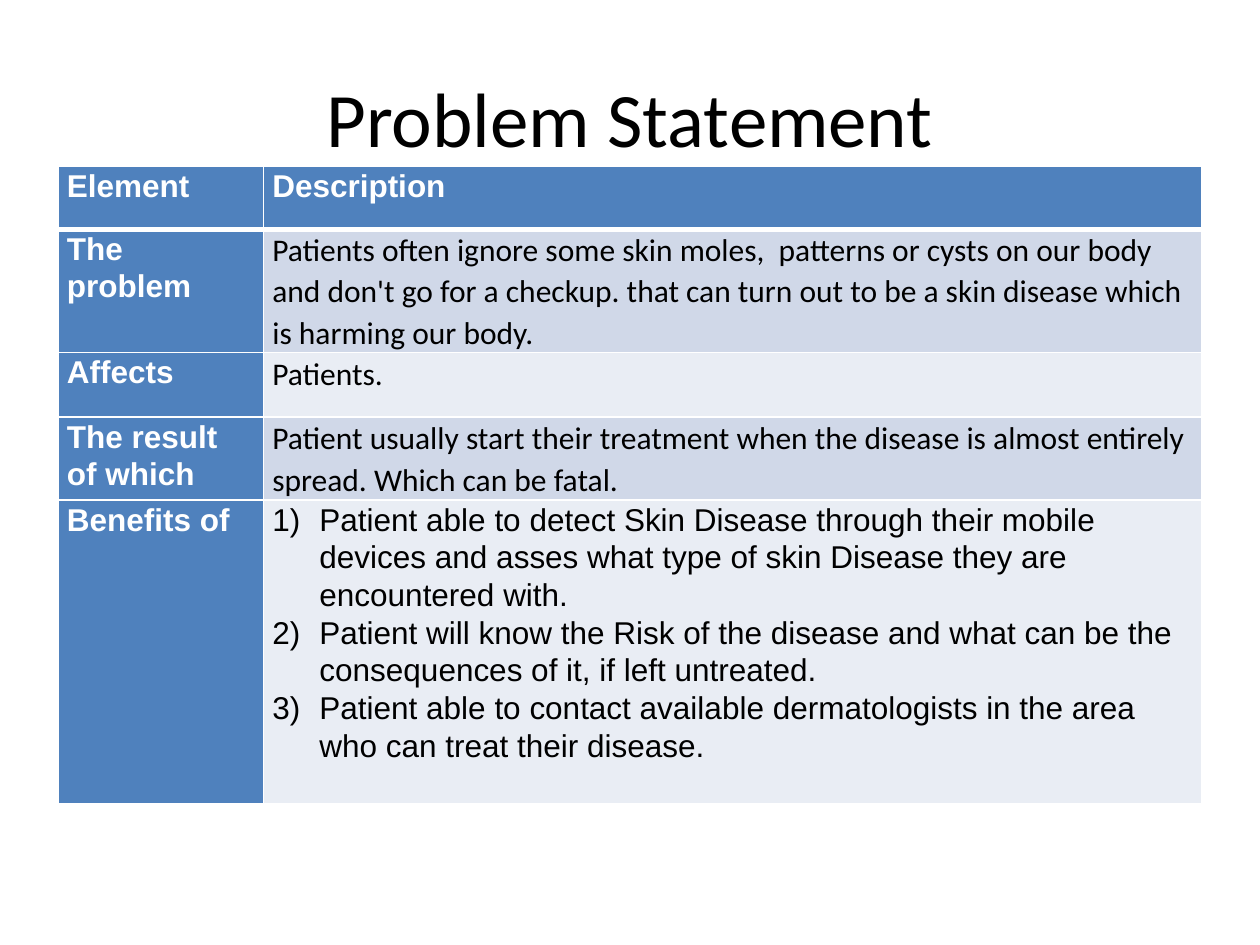
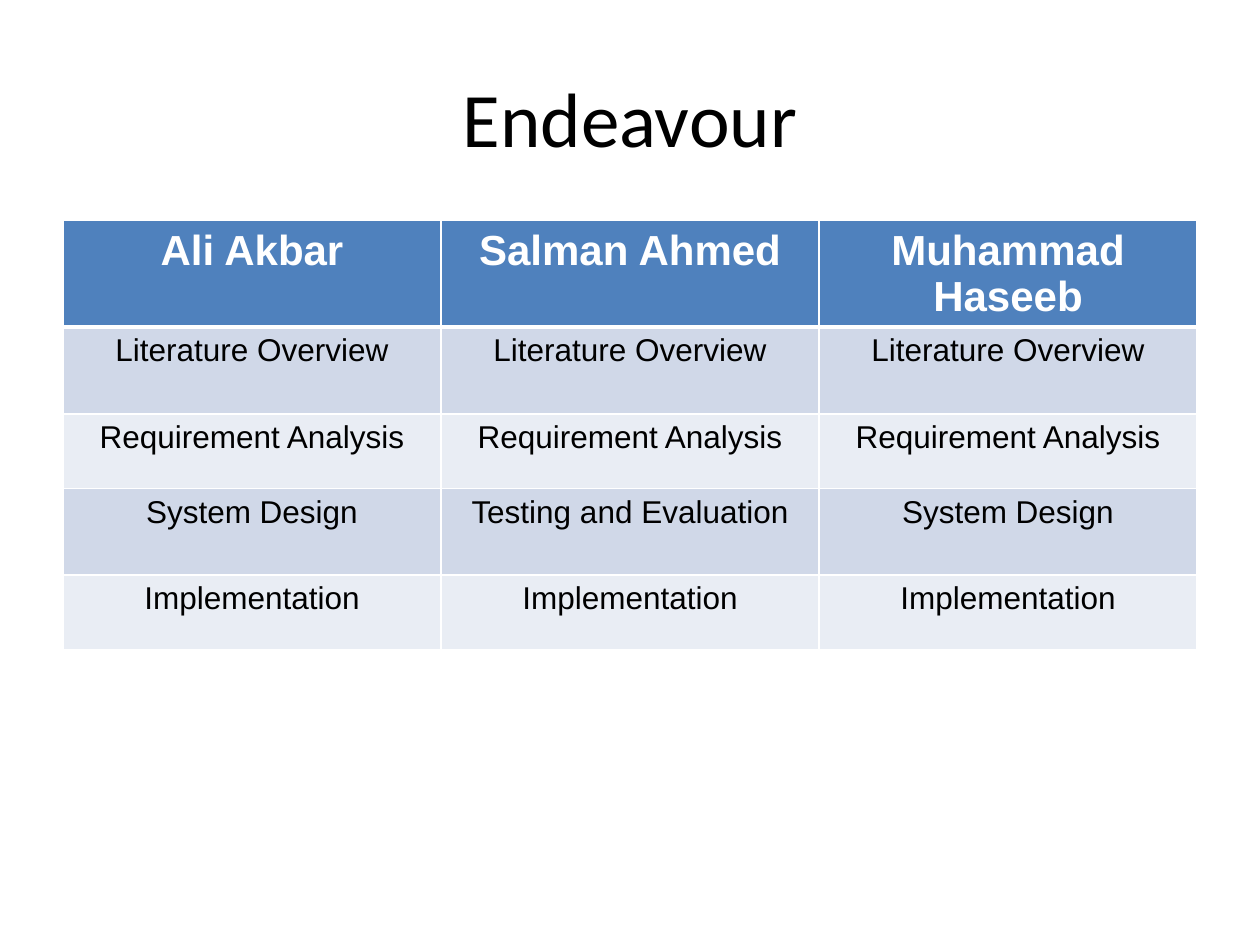
from lxml.etree import SubElement
from pptx import Presentation
from pptx.dml.color import RGBColor
from pptx.enum.text import MSO_ANCHOR, PP_ALIGN
from pptx.oxml.ns import qn
from pptx.util import Cm, Pt

# Shared look
BLUE, WHITE, BLACK = "4F81BD", "FFFFFF", "000000"
BANDS = ["E9EDF4", "D0D8E8"]  # even and odd rows


def paint(color_format, hex_color):
    color_format.rgb = RGBColor.from_string(hex_color)


def fill_cell(cell, lines, fill, color, font_name, size, bold, align, spacing,
              is_header, numbered=False):
    # White grid, with a thicker rule under the header
    properties = cell._tc.get_or_add_tcPr()
    for side in "LRTB":
        width = Pt(3) if is_header and side == "B" else Pt(1)
        border = SubElement(properties, qn(f"a:ln{side}"), w=str(width))
        border_fill = SubElement(border, qn("a:solidFill"))
        SubElement(border_fill, qn("a:srgbClr"), val=WHITE)
    cell.fill.solid()
    paint(cell.fill.fore_color, fill)

    cell.text = "\n".join(lines)
    for paragraph in cell.text_frame.paragraphs:
        if numbered:
            indent = Cm(0.95)
            numbering = paragraph._p.get_or_add_pPr()
            numbering.set("marL", str(indent))
            numbering.set("indent", str(-indent))
            SubElement(numbering, qn("a:buAutoNum"), type="arabicParenR")
        paragraph.alignment = align
        paragraph.line_spacing = spacing
        paragraph.font.name = font_name
        paragraph.font.size = Pt(size)
        paragraph.font.bold = bold
        paint(paragraph.font.color, color)


# Content
problem_rows = [
    ("Element", ["Description"]),
    ("The problem", ["Patients often ignore some skin moles,  patterns or cysts on our body "
                     "and don't go for a checkup. that can turn out to be a skin disease "
                     "which is harming our body."]),
    ("Affects", ["Patients."]),
    ("The result of which", ["Patient usually start their treatment when the disease is "
                             "almost entirely spread. Which can be fatal."]),
    ("Benefits of", [
        "Patient able to detect Skin Disease through their mobile devices and asses what "
        "type of skin Disease they are encountered with.",
        "Patient will know the Risk of the disease and what can be the consequences of it, "
        "if left untreated.",
        "Patient able to contact available dermatologists in the area who can treat their "
        "disease."]),
]
endeavour_rows = [
    ["Ali Akbar", "Salman Ahmed", "Muhammad Haseeb"],
    ["Literature Overview"] * 3,
    ["Requirement Analysis"] * 3,
    ["System Design", "Testing and Evaluation", "System Design"],
    ["Implementation"] * 3,
]

# Slides with their titles and empty tables
presentation = Presentation()
presentation.slide_width, presentation.slide_height = Cm(25.4), Cm(19.05)
tables = []
for title_text, left, top, column_widths, row_heights in [
    ("Problem Statement", 1.17, 3.35, [4.14, 18.92], [1.27, 2.49, 1.3, 1.67, 6.12]),
    ("Endeavour", 1.27, 4.45, [7.62] * 3, [2.12, 1.75, 1.5, 1.75, 1.5]),
]:
    slide = presentation.slides.add_slide(presentation.slide_layouts[5])
    title = slide.shapes.title
    title.left, title.top, title.width, title.height = Cm(1.27), Cm(0.76), Cm(22.86), Cm(3.18)
    title.text_frame.text = title_text
    title.text_frame.vertical_anchor = MSO_ANCHOR.MIDDLE
    heading = title.text_frame.paragraphs[0]
    heading.alignment = PP_ALIGN.CENTER
    heading.font.name, heading.font.size = "Calibri", Pt(44)
    paint(heading.font.color, BLACK)

    table = slide.shapes.add_table(
        len(row_heights), len(column_widths), Cm(left), Cm(top),
        Cm(sum(column_widths)), Cm(sum(row_heights))).table
    for column, width in zip(table.columns, column_widths):
        column.width = Cm(width)
    for row, height in zip(table.rows, row_heights):
        row.height = Cm(height)
    tables.append(table)
problem_table, endeavour_table = tables

# Problem statement: blue header row and first column
problem_table.first_col = True
for r, (element, description) in enumerate(problem_rows):
    for c, lines in enumerate([[element], description]):
        cell = problem_table.cell(r, c)
        cell.margin_left = cell.margin_right = Cm(0.18)
        cell.margin_top = cell.margin_bottom = 0
        is_label = r == 0 or c == 0
        numbered = len(lines) > 1
        fill_cell(cell, lines,
                  fill=BLUE if is_label else BANDS[r % 2],
                  color=WHITE if is_label else BLACK,
                  font_name="Arial" if is_label or numbered else "Calibri",
                  size=18, bold=is_label, align=PP_ALIGN.LEFT, spacing=1.07,
                  is_header=r == 0, numbered=numbered)

# Endeavour: one column of tasks for each member
for r, entries in enumerate(endeavour_rows):
    is_header = r == 0
    for c, entry in enumerate(entries):
        fill_cell(endeavour_table.cell(r, c), [entry],
                  fill=BLUE if is_header else BANDS[r % 2],
                  color=WHITE if is_header else BLACK,
                  font_name="Arial", size=24 if is_header else 18, bold=is_header,
                  align=PP_ALIGN.CENTER, spacing=1.0, is_header=is_header)

presentation.save("out.pptx")
